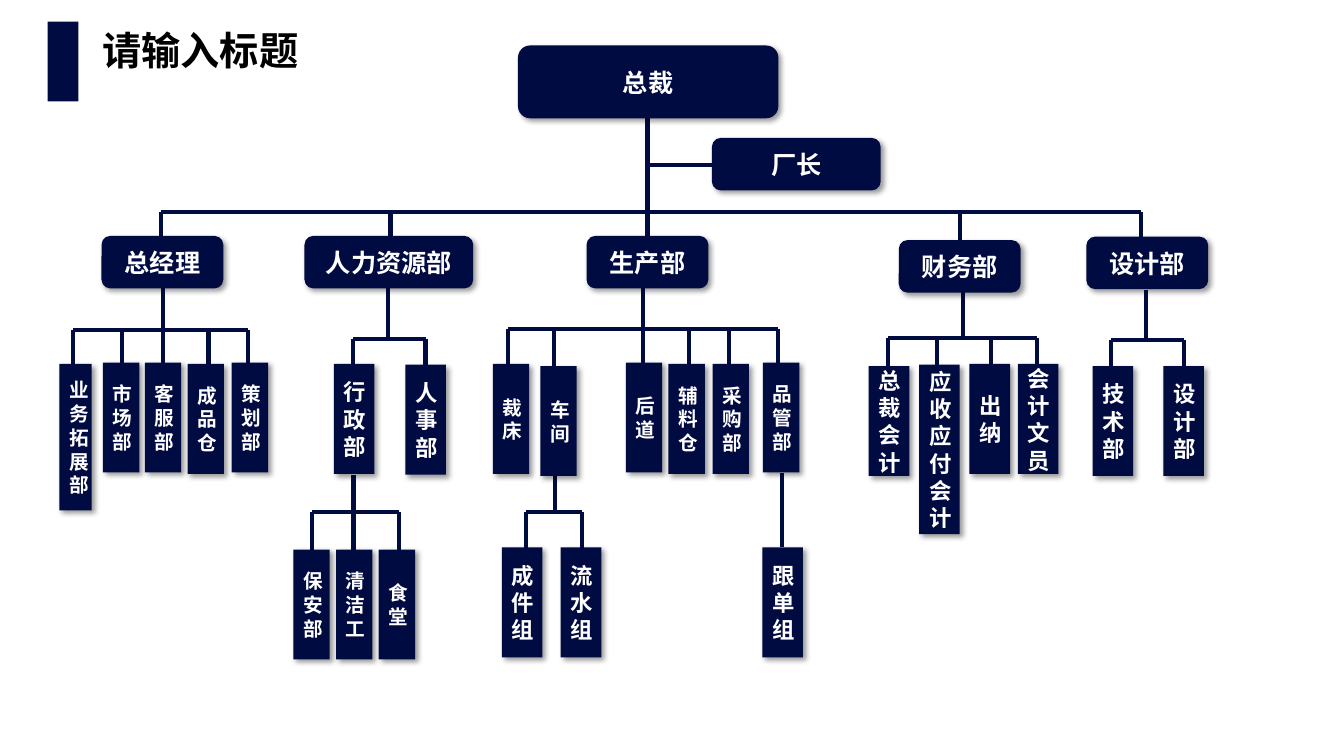
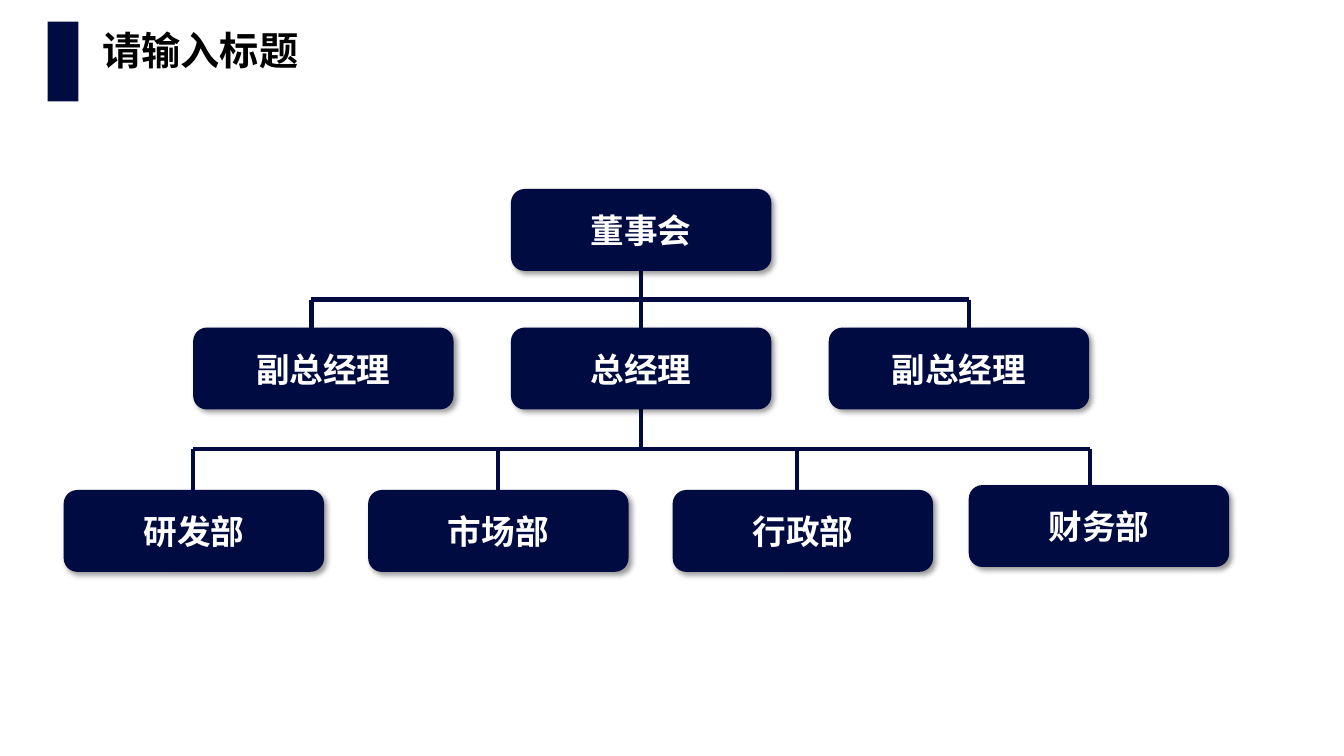
from lxml.etree import SubElement
from pptx import Presentation
from pptx.dml.color import RGBColor
from pptx.enum.shapes import MSO_CONNECTOR as CONN, MSO_SHAPE as SHAPE
from pptx.enum.text import MSO_ANCHOR as ANCHOR, PP_ALIGN as ALIGN
from pptx.oxml.ns import qn
from pptx.util import Pt

NAVY = RGBColor(0x00, 0x0B, 0x41)
WHITE = RGBColor(0xFF, 0xFF, 0xFF)
BLACK = RGBColor(0x00, 0x00, 0x00)
FONT = "Noto Sans CJK SC"
LINE_RATIO = 1.22  # line pitch relative to font size

# style: (preset shape, width, height, font size)
STYLES = {
    "president": (SHAPE.ROUNDED_RECTANGLE, 186, 52, 18),
    "wide": (SHAPE.ROUNDED_RECTANGLE, 120.5, 37.5, 18),
    "department": (SHAPE.ROUNDED_RECTANGLE, 87, 37.5, 18),
    "small unit": (SHAPE.RECTANGLE, 26, 78.5, 14),
    "large unit": (SHAPE.RECTANGLE, 29, 78.5, 16),
    "tall small unit": (SHAPE.RECTANGLE, 23, 104.5, 14),
    "tall large unit": (SHAPE.RECTANGLE, 29, 121, 16),
    "card": (SHAPE.ROUNDED_RECTANGLE, 186, 58.5, 24),
}


def spread(names, left, step, top):
    """Place names in one row with equal steps."""
    return [(name, left + i * step, top) for i, name in enumerate(names)]


# boxes: style -> (text, left, top)
# branches: (trunk x, trunk top, bus y, drop xs, drop bottom)
# lines: (x1, y1, x2, y2)
FACTORY = {
    "title": "请输入标题",
    "title_width": 254,
    "boxes": {
        "president": [("总裁", 370, 32.5)],
        "wide": [("厂长", 508.5, 98.5), ("人力资源部", 217.5, 168.5)],
        "department": [
            ("总经理", 72.5, 168.5), ("生产部", 419, 168.5),
            ("财务部", 642, 171.5), ("设计部", 776, 169),
        ],
        "tall small unit": [("业务拓展部", 42.5, 260)],
        "small unit": [
            ("市场部", 73.5, 259), ("客服部", 103.5, 259),
            ("成品仓", 134, 260), ("策划部", 165.5, 259),
            ("裁床", 352, 260), ("车间", 386, 261.5), ("后道", 447, 259),
            ("辅料仓", 477.5, 260), ("采购部", 509, 260), ("品管部", 545, 259),
            *spread(["保安部", "清洁工", "食堂"], 209.5, 30.5, 392.5),
        ],
        "tall large unit": [("应收应付会计", 656.5, 260.5)],
        "large unit": [
            ("行政部", 238.5, 260), ("人事部", 289.5, 260.5),
            ("总裁会计", 620.5, 261.5), ("出纳", 692.5, 260),
            ("会计文员", 727, 260), ("技术部", 780.5, 261.5),
            ("设计部", 831, 261.5), ("成件组", 358.5, 391),
            ("流水组", 400.5, 391), ("跟单组", 544.5, 391),
        ],
    },
    "branches": [
        (462.5, 84, 151.5, [115, 279, 462.5, 685.5, 815], 175),
        (116.5, 206, 236, [52, 87, 116.5, 149, 177], 262),
        (277, 206, 242, [252, 304], 266),
        (459.5, 206, 235, [363, 395.5, 459.5, 492, 521, 556], 264),
        (688, 206, 241.5, [634.5, 669.5, 708, 741], 266),
        (818.5, 207, 243, [793.5, 845.5], 266),
        (252.5, 339, 366, [223, 252.5, 285], 396),
        (396.5, 340, 365.5, [376, 416], 396),
    ],
    "lines": [(462.5, 118, 508.5, 118), (558.5, 338, 558.5, 391)],
}

COMPANY = {
    "title": "请输入标题",
    "title_width": 607,
    "boxes": {
        "card": [
            ("董事会", 365, 135),
            *spread(["副总经理", "总经理", "副总经理"], 138, 227, 234),
            *spread(["研发部", "市场部", "行政部"], 45.5, 217.5, 350),
            ("财务部", 692, 346.5),
        ],
    },
    "branches": [
        (458, 193, 214, [222.5, 458, 692], 240),
        (458, 292, 321, [138, 355.5, 569.5, 778.5], 358),
    ],
    "lines": [],
}


def set_text(s, text, size, color, **paragraph_format):
    tf = s.text_frame
    tf.word_wrap = True
    p = tf.paragraphs[0]
    for name, value in paragraph_format.items():
        setattr(p, name, value)
    r = p.add_run()
    r.text = text
    for name, value in {"size": Pt(size), "bold": True, "name": FONT}.items():
        setattr(r.font, name, value)
    r.font.color.rgb = color
    for rpr in s.element.iter(qn("a:rPr")):
        SubElement(rpr, qn("a:ea"), typeface=FONT)


def add_block(shapes, kind, *box):
    """Add a navy shape with neither outline nor shadow."""
    s = shapes.add_shape(kind, *map(Pt, box))
    s.shadow.inherit = False
    s.fill.solid()
    s.fill.fore_color.rgb = NAVY
    s.line.fill.background()
    return s


def add_drop_shadow(s):
    effects = s.element.spPr.find(qn("a:effectLst"))
    shadow = SubElement(
        effects, qn("a:outerShdw"), blurRad=str(Pt(4)), dist=str(Pt(3)),
        dir=str(45 * 60000), algn="tl", rotWithShape="0",
    )
    black = SubElement(shadow, qn("a:srgbClr"), val=str(BLACK))
    SubElement(black, qn("a:alpha"), val="40000")


def add_box(shapes, style, text, left, top):
    kind, width, height, size = STYLES[style]
    s = add_block(shapes, kind, left, top, width, height)
    add_drop_shadow(s)
    s.text_frame.vertical_anchor = ANCHOR.MIDDLE
    set_text(s, text, size, WHITE, alignment=ALIGN.CENTER,
             line_spacing=Pt(size * LINE_RATIO))


def add_line(shapes, *ends):
    line = shapes.add_connector(CONN.STRAIGHT, *map(Pt, ends))
    line.line.color.rgb = NAVY
    line.line.width = Pt(3)
    SubElement(line.element.spPr, qn("a:effectLst"))


def add_branch(shapes, trunk_x, trunk_top, bus_y, drops, bottom):
    add_line(shapes, trunk_x, trunk_top, trunk_x, bus_y)
    add_line(shapes, drops[0], bus_y, drops[-1], bus_y)
    for x in drops:
        add_line(shapes, x, bus_y, x, bottom)


def set_title(s, text, width):
    box = {"left": 66, "top": 22.5, "width": width, "height": 43}
    for name, value in box.items():
        setattr(s, name, Pt(value))
    s.text_frame.vertical_anchor = ANCHOR.TOP
    s.text_frame.margin_top = 0
    set_text(s, text, 28, BLACK, alignment=ALIGN.LEFT, line_spacing=0.9)


def add_chart_slide(prs, layout, chart):
    slide = prs.slides.add_slide(layout)
    shapes = slide.shapes
    set_title(shapes.title, chart["title"], chart["title_width"])
    for branch in chart["branches"]:
        add_branch(shapes, *branch)
    for ends in chart["lines"]:
        add_line(shapes, *ends)
    for style, boxes in chart["boxes"].items():
        for box in boxes:
            add_box(shapes, style, *box)
    return slide


def main():
    prs = Presentation()
    prs.slide_width, prs.slide_height = Pt(960), Pt(540)
    layout = prs.slide_layouts[5]
    slides = [add_chart_slide(prs, layout, c) for c in (FACTORY, COMPANY)]
    # Layouts cannot add shapes, so the shared band is moved there.
    band = add_block(slides[0].shapes, SHAPE.RECTANGLE, 34, 15.5, 22, 57)
    layout.shapes.element.append(band.element)
    prs.save("out.pptx")


if __name__ == "__main__":
    main()
